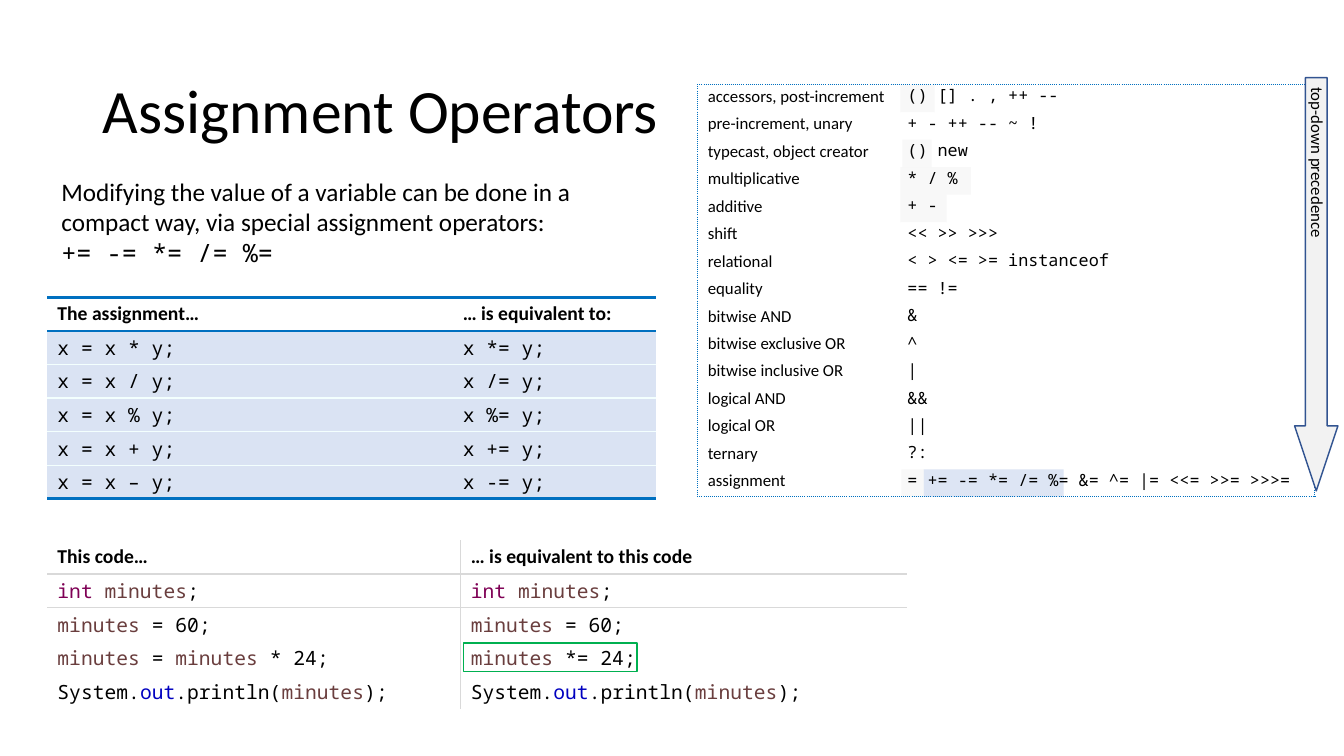
from lxml.etree import SubElement
from pptx import Presentation
from pptx.dml.color import RGBColor
from pptx.enum.shapes import MSO_SHAPE as Preset
from pptx.enum.text import MSO_ANCHOR as Anchor
from pptx.oxml.ns import qn
from pptx.util import Inches, Pt

COLORS = {
    "black": "000000", "white": "FFFFFF", "blue": "0070C0", "pale": "DAE3F3",
    "ice": "F3FFFE", "gray": "F2F2F2", "rule": "D9D9D9", "green": "00B050",
    "navy": "325491", "keyword": "7F0055", "variable": "6A3E3E", "field": "0000C0",
}
SYNTAX = {"int ": "keyword", "minutes": "variable", "out": "field"}
SANS, MONO = "Calibri", "Noto Sans Mono"
NO_STYLE = "{2D5ABB26-0587-4C30-8999-92F81FD0307C}"


def write(paragraph, text, size=14, font=SANS, bold=False, spacing=None):
    """Write text, or a list of code tokens coloured by syntax."""
    tokens = [text] if isinstance(text, str) else text
    for token in tokens:
        run = paragraph.add_run()
        run.text = token
        run.font.size, run.font.name, run.font.bold = Pt(size), font, bold
        run.font.color.rgb = RGBColor.from_string(COLORS[SYNTAX.get(token, "black")])
    if spacing:
        paragraph.line_spacing = spacing


def style_cell(cell, borders, fill=None, margin=0.03):
    """Borders maps a side (L, R, T, B) to colour, width and dash."""
    cell.vertical_anchor = Anchor.MIDDLE
    cell.margin_top = cell.margin_bottom = Inches(margin)
    properties = cell._tc.get_or_add_tcPr()
    for side in "LRTB":
        if side in borders:
            color, width, dash = borders[side]
            line = SubElement(properties, qn("a:ln" + side), w=str(Pt(width)))
            SubElement(SubElement(line, qn("a:solidFill")), qn("a:srgbClr"), val=COLORS[color])
            SubElement(line, qn("a:prstDash"), val=dash)
    if fill:
        cell.fill.solid()
        cell.fill.fore_color.rgb = RGBColor.from_string(COLORS[fill])
    else:
        cell.fill.background()


presentation = Presentation()
presentation.slide_width, presentation.slide_height = Inches(13.33), Inches(7.5)
slide = presentation.slides.add_slide(presentation.slide_layouts[6])

# Title, introduction and arrow caption
frames = {}
for name, box in {
    "title": (0.92, 0.4, 11.5, 1.45),
    "introduction": (0.51, 1.7, 6.01, 1.01),
    "caption": (12.08, 1.61, 1.98, 0.3),
}.items():
    text_box = slide.shapes.add_textbox(*map(Inches, box))
    frames[name] = text_box.text_frame
    frames[name].word_wrap = True
text_box.rotation = 90
caption_box = text_box
frames["title"].vertical_anchor = Anchor.MIDDLE
write(frames["title"].paragraphs[0], "Assignment Operators", size=44, spacing=0.9)
write(frames["introduction"].paragraphs[0],
      "Modifying the value of a variable can be done in a compact way, "
      "via special assignment operators:", size=18)
write(frames["introduction"].add_paragraph(), "+= -= *= /= %=", size=18, font=MONO)
write(frames["caption"].paragraphs[0], "top-down precedence", size=12)

# Table contents
assignments = [("The assignment…", "… is equivalent to:")] + [
    (f"x = x {long} y;", f"x {short}= y;")
    for long, short in zip("*/%+–", "*/%+-")]
precedence = [
    ("accessors, post-increment", "() [] . , ++ --"),
    ("pre-increment, unary", "+ - ++ -- ~ !"),
    ("typecast, object creator", "() new"),
    ("multiplicative", "* / %"),
    ("additive", "+ -"),
    ("shift", "<< >> >>>"),
    ("relational", "< > <= >= instanceof"),
    ("equality", "== !="),
    ("bitwise AND", "&"),
    ("bitwise exclusive OR", "^"),
    ("bitwise inclusive OR", "|"),
    ("logical AND", "&&"),
    ("logical OR", "||"),
    ("ternary", "?:"),
    ("assignment", "= += -= *= /= %= &= ^= |= <<= >>= >>>="),
]
declaration = ["int ", "minutes", ";"]
setting = ["minutes", " = 60;"]
printing = ["System.", "out", ".println(", "minutes", ");"]
code = [
    ("This code…", "… is equivalent to this code"),
    (declaration, declaration),
    (setting, setting),
    (["minutes", " = ", "minutes", " * 24;"], ["minutes", " *= 24;"]),
    (printing, printing),
]

# Highlights behind the precedence table: row, left, width, colour, opacity
table_top, table_height = 0.84, 4.09
row_height = table_height / len(precedence)
for row, left, width, color, opacity in [
    (0, 8.93, 0.34, "gray", 50), (2, 8.95, 0.29, "gray", 50),
    (3, 8.93, 0.7, "gray", 50), (4, 8.93, 0.46, "gray", 50),
    (14, 9.16, 1.39, "pale", 90), (14, 8.94, 0.22, "gray", 50),
]:
    shape = slide.shapes.add_shape(
        Preset.RECTANGLE, Inches(left), Inches(table_top + row * row_height),
        Inches(width), Inches(row_height))
    shape.shadow.inherit = False
    shape.line.fill.background()
    shape.fill.solid()
    shape.fill.fore_color.rgb = RGBColor.from_string(COLORS[color])
    color_element = shape.fill._xPr.find(qn("a:solidFill"))[0]
    SubElement(color_element, qn("a:alpha"), val=str(opacity * 1000))

# Tables
thick, thin = ("blue", 2.25, "solid"), ("ice", 1, "solid")
dotted, rule = ("blue", 0.75, "sysDot"), ("rule", 1, "solid")
for name, rows, left, top, columns, height in [
    ("assignments", assignments, 0.47, 2.95, (4.02, 2.02), 2),
    ("precedence", precedence, 6.92, table_top, (1.98, 4.14), table_height),
    ("code", code, 0.47, 5.36, (4.1, 4.43), 1.67),
]:
    table = slide.shapes.add_table(
        len(rows), 2, Inches(left), Inches(top),
        Inches(sum(columns)), Inches(height)).table
    table.first_row = table.horz_banding = False
    table._tbl.tblPr.find(qn("a:tableStyleId")).text = NO_STYLE
    for column, width in zip(table.columns, columns):
        column.width = Inches(width)
    last = len(rows) - 1
    for row, texts in enumerate(rows):
        table.rows[row].height = Inches(height / len(rows))
        for column, text in enumerate(texts):
            cell = table.cell(row, column)
            paragraph = cell.text_frame.paragraphs[0]
            if name == "precedence":
                borders = {"LR"[column]: dotted}
                borders.update({side: dotted for side, edge in (("T", 0), ("B", last)) if row == edge})
                style_cell(cell, borders, margin=0)
                write(paragraph, text, size=12, font=(SANS, MONO)[column], spacing=Pt(12))
                continue
            if name == "assignments":
                borders = {"T": thick if row < 2 else thin,
                           "B": thick if row in (0, last) else thin}
                fill = "pale" if row else None
            else:
                borders = {"RL"[column]: rule}
                if row < 2:
                    borders["TB"[row == 0]] = rule
                fill = "white" if row else None
            style_cell(cell, borders, fill)
            write(paragraph, text, font=MONO if row else SANS, bold=row == 0)

# Frame around the shortened statement, and the precedence arrow
for preset, box, fill, line in [
    (Preset.RECTANGLE, (4.6, 6.38, 1.72, 0.28), None, "green"),
    (Preset.DOWN_ARROW, (12.84, 0.77, 0.43, 4.1), "gray", "navy"),
]:
    shape = slide.shapes.add_shape(preset, *map(Inches, box))
    shape.shadow.inherit = False
    shape.line.color.rgb = RGBColor.from_string(COLORS[line])
    shape.line.width = Pt(1)
    if fill:
        shape.fill.solid()
        shape.fill.fore_color.rgb = RGBColor.from_string(COLORS[fill])
        shape.adjustments[0], shape.adjustments[1] = 0.5, 1.5
    else:
        shape.fill.background()

# Bring the caption in front of the arrow
slide.shapes._spTree.append(caption_box._element)

presentation.save("out.pptx")
